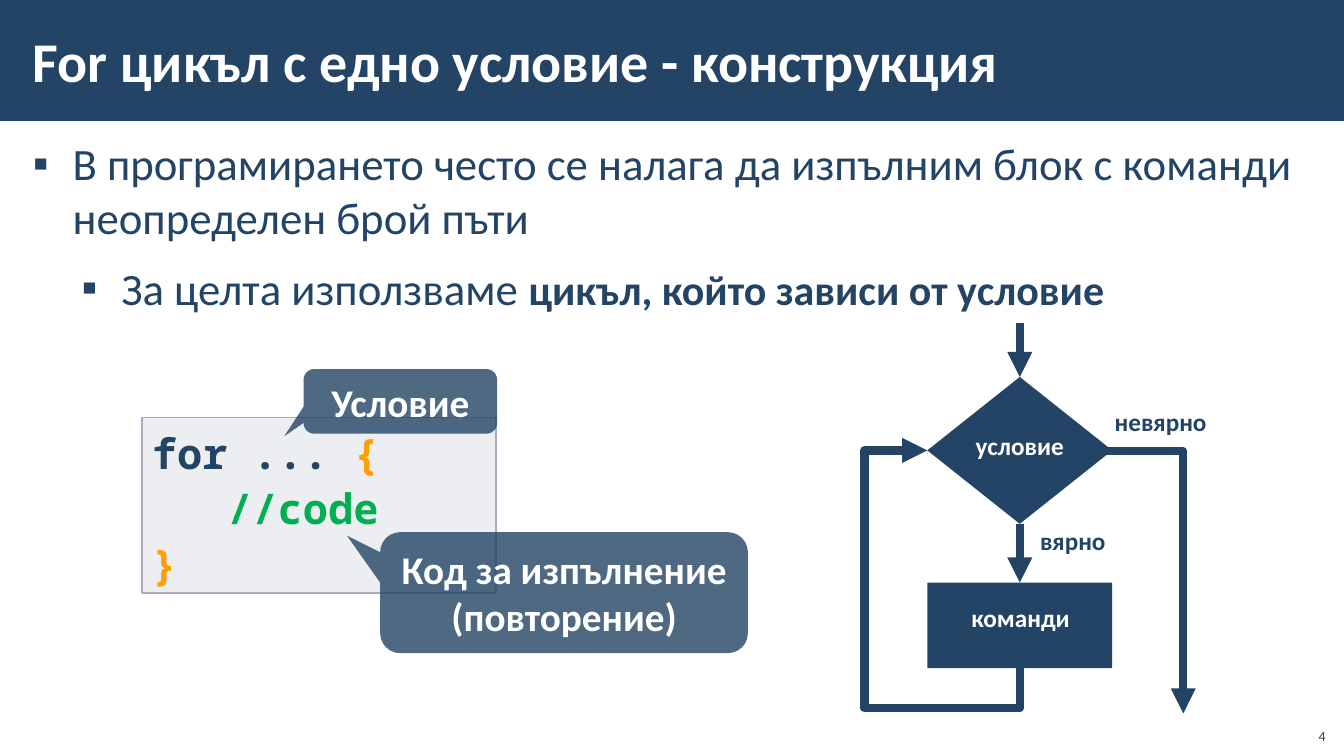
import lxml.etree
import pptx
import pptx.dml.color
import pptx.enum.shapes
import pptx.enum.text
import pptx.oxml.ns
import pptx.util

Cm = pptx.util.Cm
Pt = pptx.util.Pt
qn = pptx.oxml.ns.qn
SHAPE = pptx.enum.shapes.MSO_SHAPE
CONNECTOR = pptx.enum.shapes.MSO_CONNECTOR
ALIGN = pptx.enum.text.PP_ALIGN
ANCHOR = pptx.enum.text.MSO_ANCHOR
AUTO_SIZE = pptx.enum.text.MSO_AUTO_SIZE

COLORS = {
    "navy": "234465",
    "white": "FFFFFF",
    "mist": "A3ABBC",
    "orange": "FFA000",
    "green": "00B050",
}


def rgb(name):
    return pptx.dml.color.RGBColor.from_string(COLORS[name])


def add_xml(parent, tag, **attributes):
    return lxml.etree.SubElement(parent, qn(tag), attributes)


class SlideBuilder:
    """Holds the text style and the current slide; lengths are in centimetres."""

    font = "Calibri"
    mono = "Noto Sans Mono"
    line_width = Pt(6)

    def __init__(self, slide):
        self.slide = slide
        self.shapes = slide.shapes

    def style(self, font, size, color="navy", bold=True, name=None):
        font.name = name or self.font
        font.size = Pt(size)
        font.bold = bold
        font.color.rgb = rgb(color)

    def place(self, placeholder, box, anchor):
        placeholder.left, placeholder.top, placeholder.width, placeholder.height = map(Cm, box)
        frame = placeholder.text_frame
        frame.auto_size = AUTO_SIZE.NONE
        frame.vertical_anchor = anchor
        frame.margin_left = frame.margin_right = Cm(0.3)
        frame.margin_top = frame.margin_bottom = Cm(0.1)
        return frame

    def title(self, text, box):
        frame = self.place(self.shapes.title, box, ANCHOR.MIDDLE)
        frame.text = text
        paragraph = frame.paragraphs[0]
        paragraph.alignment = ALIGN.LEFT
        self.style(paragraph.font, 40, "white")

    def bullets(self, items, box):
        """Each item is (level, left indent, plain text, bold text)."""
        frame = self.place(self.slide.placeholders[1], box, ANCHOR.TOP)
        for index, (level, indent, plain, strong) in enumerate(items):
            paragraph = frame.add_paragraph() if index else frame.paragraphs[0]
            paragraph.level = level
            paragraph.space_before = paragraph.space_after = Pt(6)
            self.style(paragraph.font, 32, bold=False)
            properties = paragraph._p.get_or_add_pPr()
            properties.set("marL", str(Cm(indent)))
            properties.set("indent", str(Cm(-1)))
            bullet = lxml.etree.Element(qn("a:buChar"), char="▪")
            properties.find(qn("a:defRPr")).addprevious(bullet)
            paragraph.add_run().text = plain
            if strong:
                run = paragraph.add_run()
                run.text = strong
                self.style(run.font, 30)

    def shape(self, kind, box, fill="navy", opacity=100, line=None):
        shape = self.shapes.add_shape(kind, *map(Cm, box))
        shape.shadow.inherit = False
        shape.fill.solid()
        shape.fill.fore_color.rgb = rgb(fill)
        if opacity < 100:
            color = shape._element.spPr.find(qn("a:solidFill"))[0]
            add_xml(color, "a:alpha", val=str(opacity * 1000))
        if line:
            shape.line.color.rgb = rgb(line)
            shape.line.width = Pt(1)
        else:
            shape.line.fill.background()
        return shape

    def callout(self, text, box, pointer):
        shape = self.shape(SHAPE.ROUNDED_RECTANGULAR_CALLOUT, box, opacity=80)
        for index, value in enumerate((*pointer, 0.167)):
            shape.adjustments[index] = value
        frame = shape.text_frame
        frame.word_wrap = True
        frame.vertical_anchor = ANCHOR.MIDDLE
        frame.text = text
        frame.paragraphs[0].alignment = ALIGN.CENTER
        self.style(frame.paragraphs[0].font, 28, "white")

    def code(self, lines, box):
        """Each line is (left indent, [(text, color), ...])."""
        shape = self.shape(SHAPE.RECTANGLE, box, "mist", 20, "mist")
        frame = shape.text_frame
        frame.vertical_anchor = ANCHOR.TOP
        for index, (indent, parts) in enumerate(lines):
            paragraph = frame.add_paragraph() if index else frame.paragraphs[0]
            paragraph.alignment = ALIGN.LEFT
            paragraph.line_spacing = 1.1
            paragraph._p.get_or_add_pPr().set("marL", str(Cm(indent)))
            for text, color in parts:
                run = paragraph.add_run()
                run.text = text
                self.style(run.font, 30, color, name=self.mono)

    def label(self, text, box, color="navy", align=ALIGN.LEFT, size=18, bold=True,
              anchor=ANCHOR.TOP):
        frame = self.shapes.add_textbox(*map(Cm, box)).text_frame
        frame.word_wrap = False
        frame.vertical_anchor = anchor
        frame.text = text
        frame.paragraphs[0].alignment = align
        self.style(frame.paragraphs[0].font, size, color, bold)

    def arrow(self, start, end, kind=CONNECTOR.STRAIGHT):
        connector = self.shapes.add_connector(kind, *map(Cm, (*start, *end)))
        connector.line.color.rgb = rgb("navy")
        connector.line.width = self.line_width
        add_xml(connector.line._get_or_add_ln(), "a:tailEnd", type="triangle")
        add_xml(connector._element.spPr, "a:effectLst")
        return connector

    def elbow(self, start, end, preset, rotation, adjustments):
        """A bent arrow that leaves vertically: its frame is turned a quarter."""
        connector = self.arrow(start, end, CONNECTOR.ELBOW)
        width, height = abs(end[1] - start[1]), abs(end[0] - start[0])
        connector.left = Cm((start[0] + end[0] - width) / 2)
        connector.top = Cm((start[1] + end[1] - height) / 2)
        connector.width, connector.height = Cm(width), Cm(height)
        properties = connector._element.spPr
        frame = properties.find(qn("a:xfrm"))
        frame.attrib.pop("flipV", None)
        frame.set("flipH", "1")
        frame.set("rot", str(rotation * 60000))
        geometry = properties.find(qn("a:prstGeom"))
        geometry.set("prst", preset)
        guides = geometry.find(qn("a:avLst"))
        for number, value in enumerate(adjustments, 1):
            add_xml(guides, "a:gd", name=f"adj{number}", fmla=f"val {value}")


def main():
    presentation = pptx.Presentation()
    presentation.slide_width, presentation.slide_height = Cm(33.87), Cm(19.05)
    slide = presentation.slides.add_slide(presentation.slide_layouts[1])
    builder = SlideBuilder(slide)

    # Header band behind the title
    header = builder.shape(SHAPE.RECTANGLE, (0, 0, 33.87, 3.05))
    slide.shapes._spTree.insert(2, header._element)
    builder.title("For цикъл с едно условие - конструкция", (0.53, 0.28, 27, 2.46))

    # Bulleted text
    builder.bullets([
        (0, 1, "В програмирането често се налага да изпълним блок с команди "
               "неопределен брой пъти", ""),
        (1, 2.23, "За целта използваме ", "цикъл, който зависи от условие"),
    ], (0.53, 3.33, 32.82, 15.37))

    # Code sample with callouts
    builder.code([
        (0, [("for ...", "navy"), (" {", "orange")]),
        (1.9, [("//code", "green")]),
        (0, [("}", "orange")]),
    ], (3.58, 10.52, 8.92, 4.42))
    builder.callout("Условие", (7.65, 9.3, 4.88, 1.63), (-0.6, 0.54))
    builder.callout("Код за изпълнение (повторение)", (9.58, 13.41, 9.27, 3.05),
                    (-0.59, -0.47))

    # Flowchart blocks, centred on one axis
    axis, block_width = 25.7, 4.66
    left = axis - block_width / 2
    condition = builder.shape(SHAPE.FLOWCHART_DECISION, (left, 9.5, block_width, 3.7))
    commands = builder.shape(SHAPE.RECTANGLE, (left, 14.68, block_width, 2.16))

    # Flowchart arrows
    entry = builder.arrow((axis, 8.15), (axis, 9.5))
    entry.end_connect(condition, 0)
    accepted = builder.arrow((axis, 13.2), (axis, 14.68))
    accepted.begin_connect(condition, 2)
    accepted.end_connect(commands, 0)
    builder.elbow((axis, 16.84), (left, 11.35), "bentConnector4", 90, (-18300, 167800))
    builder.elbow((27.81, 11.35), (29.82, 17.98), "bentConnector3", 270, (300,))

    # Flowchart labels
    builder.label("условие", (24.33, 10.72, 2.74, 1.02), "white", ALIGN.CENTER)
    builder.label("команди", (24.21, 15.06, 3.02, 1.02), "white", ALIGN.CENTER)
    builder.label("вярно", (25.96, 13.11, 2.18, 1.02))
    builder.label("невярно", (27.84, 10.11, 2.84, 1.02))

    # Slide number
    builder.label("4", (32.64, 18.08, 1.02, 0.81), align=ALIGN.RIGHT, size=10,
                  bold=False, anchor=ANCHOR.BOTTOM)

    presentation.save("out.pptx")


if __name__ == "__main__":
    main()
